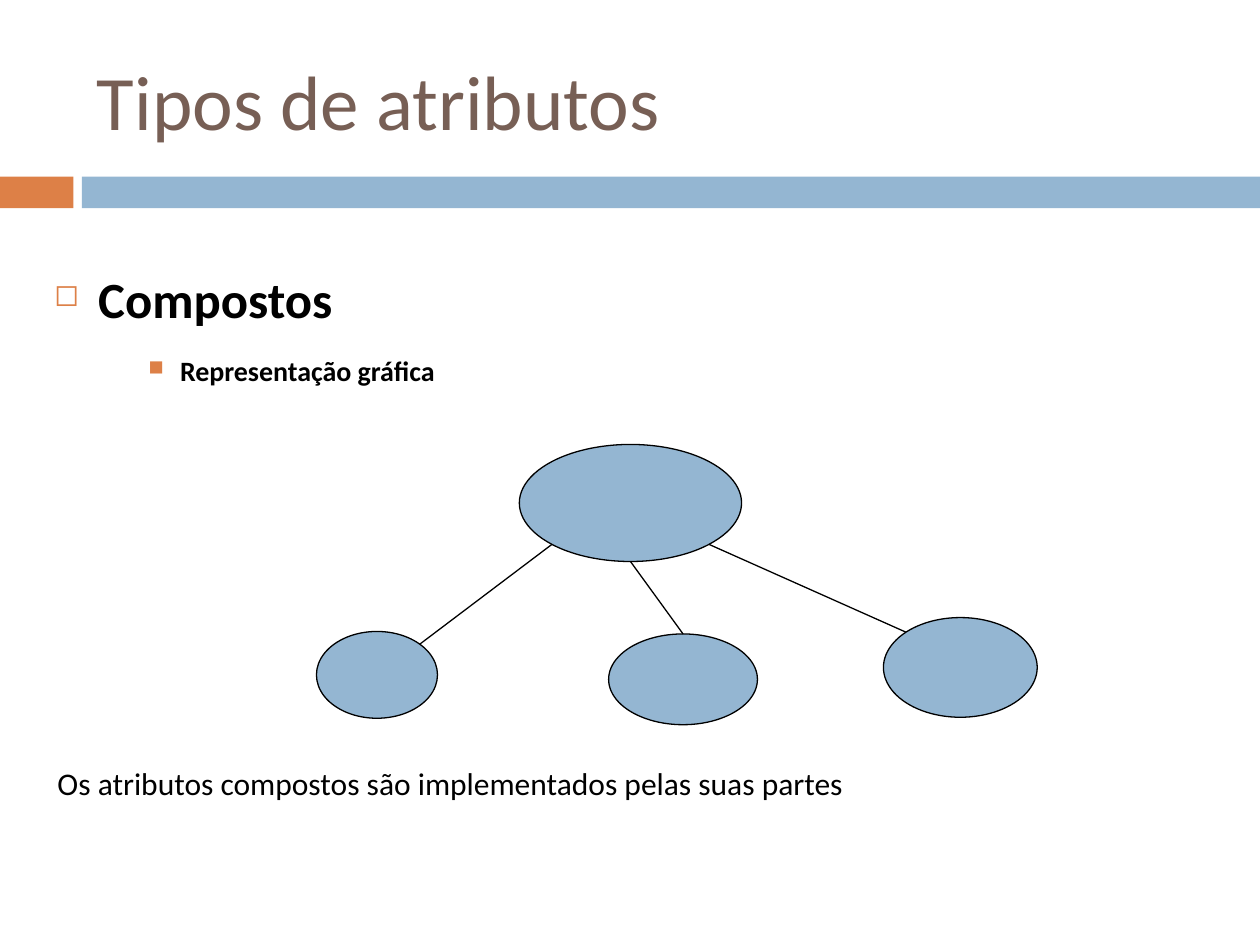
from math import cos, radians, sin

from lxml.etree import SubElement
from pptx import Presentation
from pptx.dml.color import RGBColor
from pptx.enum.shapes import MSO_CONNECTOR as Connector, MSO_SHAPE as Shape
from pptx.enum.text import MSO_ANCHOR as Anchor, MSO_AUTO_SIZE as AutoSize, PP_ALIGN as Align
from pptx.oxml.ns import qn
from pptx.util import Cm, Pt

FONT = "Calibri"
BLACK, BROWN, BLUE, ORANGE = "000000", "775F55", "94B6D2", "DD8047"


def color(value):
    return RGBColor.from_string(value)


def add_run(para, text, size, tint=BLACK, bold=False):
    run = para.add_run()
    run.text = text
    run.font.name, run.font.size, run.font.bold = FONT, Pt(size), bold
    run.font.color.rgb = color(tint)


def add_shape(slide, kind, left, top, width, height, fill, outlined=False):
    shape = slide.shapes.add_shape(kind, Cm(left), Cm(top), Cm(width), Cm(height))
    shape.shadow.inherit = False
    shape.fill.solid()
    shape.fill.fore_color.rgb = color(fill)
    if outlined:
        shape.line.color.rgb = color(BLACK)
        shape.line.width = Pt(0.75)
    else:
        shape.line.fill.background()
    return shape


def add_text_frame(slide, left, top, width, height):
    box = slide.shapes.add_textbox(Cm(left), Cm(top), Cm(width), Cm(height))
    box.text_frame.word_wrap = True
    return box.text_frame


def set_title(slide, text):
    title = slide.shapes.title
    title.left, title.top, title.width, title.height = Cm(1.7), Cm(0.64), Cm(22.66), Cm(2.74)
    title.text_frame.vertical_anchor = Anchor.MIDDLE
    para = title.text_frame.paragraphs[0]
    para.alignment = Align.LEFT
    add_run(para, text, 44, BROWN)


def set_bullet(para, symbol, percent, margin, hanging):
    """Hang an orange bullet, sized in percent of the text, before the paragraph."""
    properties = para._p.get_or_add_pPr()
    properties.set("marL", str(Cm(margin)))
    properties.set("indent", str(-Cm(hanging)))
    tint = SubElement(properties, qn("a:buClr"))
    SubElement(tint, qn("a:srgbClr"), val=ORANGE)
    SubElement(properties, qn("a:buSzPct"), val=str(percent * 1000))
    SubElement(properties, qn("a:buChar"), char=symbol)


def add_bullet(para, text, size, level, space, symbol, percent, margin, hanging):
    para.level = level
    para.line_spacing = 1.5
    para.space_before = Pt(space)
    set_bullet(para, symbol, percent, margin, hanging)
    add_run(para, text, size, bold=True)


def rim_point(ellipse, degrees):
    """Point on the ellipse's outline, measured clockwise from its right end."""
    angle = radians(degrees)
    x = ellipse.left + ellipse.width / 2 * (1 + cos(angle))
    y = ellipse.top + ellipse.height / 2 * (1 + sin(angle))
    return round(x), round(y)


def add_link(slide, start, end):
    link = slide.shapes.add_connector(Connector.STRAIGHT, *start, *end)
    link.line.color.rgb = color(BLACK)
    link.line.width = Pt(0.75)
    SubElement(link._element.spPr, qn("a:effectLst"))


def add_attribute_tree(slide):
    whole = add_shape(slide, Shape.OVAL, 10.47, 8.96, 4.48, 2.36, BLUE, True)
    parts = [  # left, top, width, height, angle leaving the whole, angle at the part
        (6.38, 12.73, 2.44, 1.75, 135, -45),
        (12.27, 12.78, 3, 1.83, 90, -90),
        (17.81, 12.45, 3.1, 2.01, 45, -135),
    ]
    for *place, leaving, arriving in parts:
        part = add_shape(slide, Shape.OVAL, *place, BLUE, True)
        add_link(slide, rim_point(whole, leaving), rim_point(part, arriving))


def main():
    deck = Presentation()
    deck.slide_width, deck.slide_height = Cm(25.4), Cm(19.05)
    slide = deck.slides.add_slide(deck.slide_layouts[5])

    add_shape(slide, Shape.RECTANGLE, 0, 3.56, 1.48, 0.64, ORANGE)
    add_shape(slide, Shape.RECTANGLE, 1.65, 3.56, 23.75, 0.64, BLUE)
    set_title(slide, "Tipos de atributos")

    body = add_text_frame(slide, 0.84, 4.65, 24.03, 4.65)
    add_bullet(body.paragraphs[0], "Compostos", 29, 0, 7, "◻", 60, 0.89, 0.89)
    add_bullet(body.add_paragraph(), "Representação gráfica", 16, 2, 5, "■", 75, 2.54, 0.64)

    add_attribute_tree(slide)

    note = add_text_frame(slide, 0.91, 15.27, 22.66, 1.02)
    note.auto_size = AutoSize.SHAPE_TO_FIT_TEXT
    add_run(note.paragraphs[0], "Os atributos compostos são implementados pelas suas partes", 18)

    deck.save("out.pptx")


if __name__ == "__main__":
    main()
